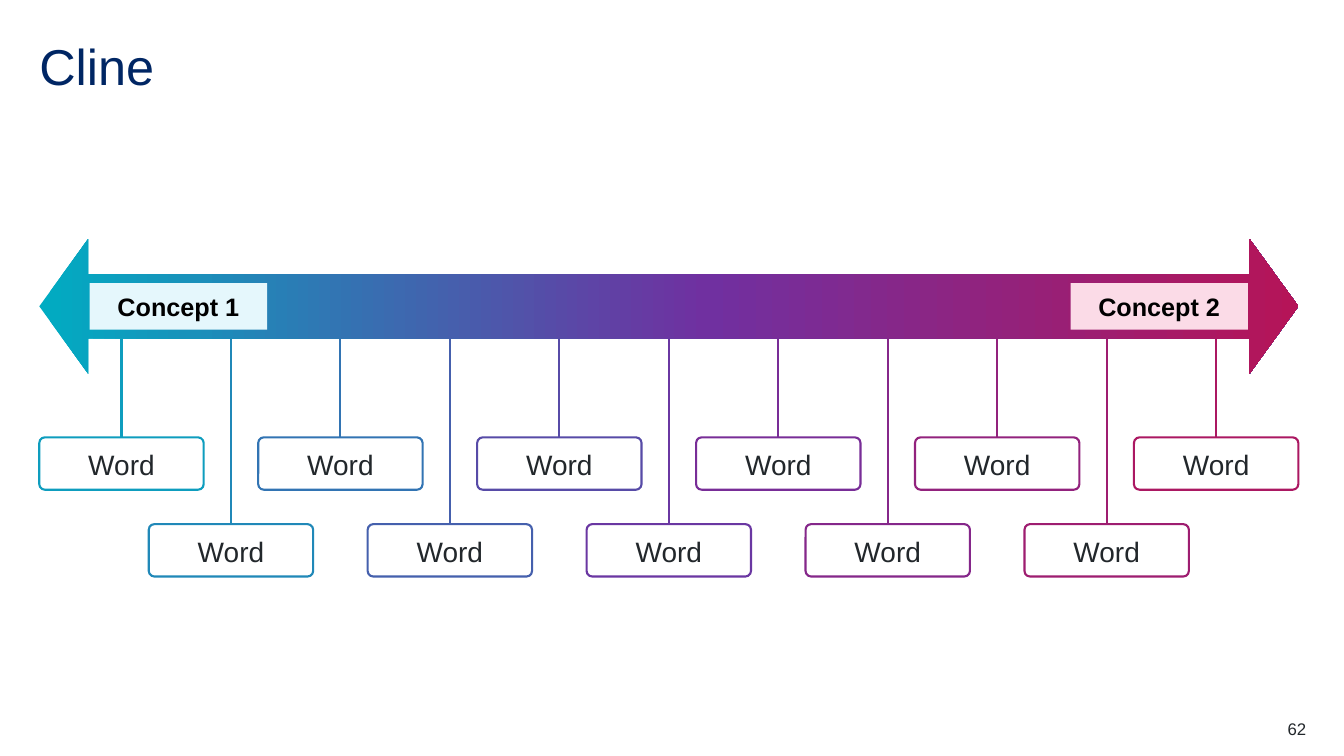
import copy
import pptx
import pptx.util
import pptx.dml.color
import pptx.enum.shapes
import pptx.enum.text
import pptx.oxml.ns
import lxml.etree

Pt = pptx.util.Pt
RGB = pptx.dml.color.RGBColor
KIND = pptx.enum.shapes.MSO_SHAPE
ALIGN = pptx.enum.text.PP_ALIGN
ANCHOR = pptx.enum.text.MSO_ANCHOR
qn = pptx.oxml.ns.qn

NAVY = RGB(0x00, 0x26, 0x64)
INK = RGB(0x22, 0x27, 0x2B)
BLACK = RGB(0, 0, 0)
ICE = RGB(0xE5, 0xF7, 0xFC)
PINK = RGB(0xFB, 0xDB, 0xE7)
BLEND = [
    (0, RGB(0x00, 0xAC, 0xC2)),
    (0.53, RGB(0x70, 0x30, 0xA0)),
    (1, RGB(0xB5, 0x14, 0x58)),
]
HUES = [
    RGB(0x0E, 0x9D, 0xBE), RGB(0x20, 0x88, 0xB8), RGB(0x32, 0x74, 0xB3),
    RGB(0x45, 0x60, 0xAD), RGB(0x57, 0x4B, 0xA7), RGB(0x6A, 0x37, 0xA2),
    RGB(0x78, 0x2D, 0x97), RGB(0x85, 0x27, 0x8A), RGB(0x92, 0x22, 0x7D),
    RGB(0x9E, 0x1D, 0x70), RGB(0xAB, 0x18, 0x62),
]
WORDS = ["Word"] * len(HUES)


def set_text(shape, text, size, color, align, anchor, pads=(0, 0, 0, 0), bold=False):
    """Fill a shape with one styled paragraph; pads are left, top, right, bottom."""
    frame = shape.text_frame
    frame.text = text
    frame.word_wrap = True
    frame.auto_size = pptx.enum.text.MSO_AUTO_SIZE.NONE
    frame.vertical_anchor = anchor
    frame.margin_left, frame.margin_top, frame.margin_right, frame.margin_bottom = map(Pt, pads)
    para = frame.paragraphs[0]
    para.alignment = align
    font = para.runs[0].font
    font.name, font.size, font.bold = "Arial", Pt(size), bold
    font.color.rgb = color


def add_shape(slide, kind, box):
    shape = slide.shapes.add_shape(kind, *map(Pt, box))
    shape.shadow.inherit = False
    shape.line.fill.background()
    return shape


def add_title(slide, box, text):
    title = slide.shapes.title
    title.left, title.top, title.width, title.height = map(Pt, box)
    set_text(title, text, 36, NAVY, ALIGN.LEFT, ANCHOR.MIDDLE)
    title.text_frame.paragraphs[0].line_spacing = 0.9


def add_arrow(slide, box):
    arrow = add_shape(slide, KIND.LEFT_RIGHT_ARROW, box)
    arrow.adjustments[0] = 0.475
    arrow.adjustments[1] = 0.362
    arrow.fill.gradient()
    arrow.fill.gradient_angle = 0
    stops = next(arrow._element.spPr.iter(qn("a:gsLst")))
    stops.append(copy.deepcopy(stops[-1]))
    for stop, (place, color) in zip(arrow.fill.gradient_stops, BLEND):
        stop.position = place
        stop.color.rgb = color


def add_label(slide, box, text, color):
    label = add_shape(slide, KIND.RECTANGLE, box)
    label.fill.solid()
    label.fill.fore_color.rgb = color
    set_text(label, text, 18, BLACK, ALIGN.CENTER, ANCHOR.MIDDLE, (6.5, 3, 6.5, 3), True)


def add_scale(slide, box):
    """Draw the two-way arrow with a concept label at each end."""
    left, top, width, height = box
    add_arrow(slide, box)
    inset, wide, tall = 36, 126.7, 33.1
    y = top + (height - tall) / 2
    add_label(slide, (left + inset, y, wide, tall), "Concept 1", ICE)
    add_label(slide, (left + width - inset - wide, y, wide, tall), "Concept 2", PINK)


def add_stem(slide, x, top, end, color):
    stem = slide.shapes.add_connector(
        pptx.enum.shapes.MSO_CONNECTOR.STRAIGHT, Pt(x), Pt(top), Pt(x), Pt(end))
    stem.line.color.rgb = color
    stem.line.width = Pt(1.5)
    lxml.etree.SubElement(stem._element.spPr, qn("a:effectLst"))


def add_card(slide, box, text, color):
    card = add_shape(slide, KIND.ROUNDED_RECTANGLE, box)
    card.adjustments[0] = 0.106
    card.fill.background()
    card.line.color.rgb = color
    card.line.width = Pt(1.5)
    set_text(card, text, 20, INK, ALIGN.CENTER, ANCHOR.BOTTOM, (11.5, 0, 11.5, 5))


def add_cards(slide, box):
    """Hang the words from the top of the box, in two alternating rows."""
    left, top, width, height = box
    wide, tall = 117.4, 37.4
    rows = (top + 70.5, top + height - tall)
    step = (width - wide) / (len(WORDS) - 1)
    for i, (word, color) in enumerate(zip(WORDS, HUES)):
        x, y = left + i * step, rows[i % 2]
        add_stem(slide, x + wide / 2, top, y, color)
        add_card(slide, (x, y, wide, tall), word, color)


def add_number(slide, box, text):
    number = slide.shapes.add_textbox(*map(Pt, box))
    set_text(number, text, 12, INK, ALIGN.RIGHT, ANCHOR.TOP)


def main():
    deck = pptx.Presentation()
    deck.slide_width, deck.slide_height = Pt(960), Pt(540)
    slide = deck.slides.add_slide(deck.slide_layouts[5])
    add_title(slide, (28.1, 28.1, 904.3, 43.2), "Cline")
    add_scale(slide, (28.1, 170.6, 899.3, 96.5))
    add_cards(slide, (28.1, 241.9, 899.3, 169.9))
    add_number(slide, (876.2, 513.4, 56.9, 14.4), "62")
    deck.save("out.pptx")


if __name__ == "__main__":
    main()
